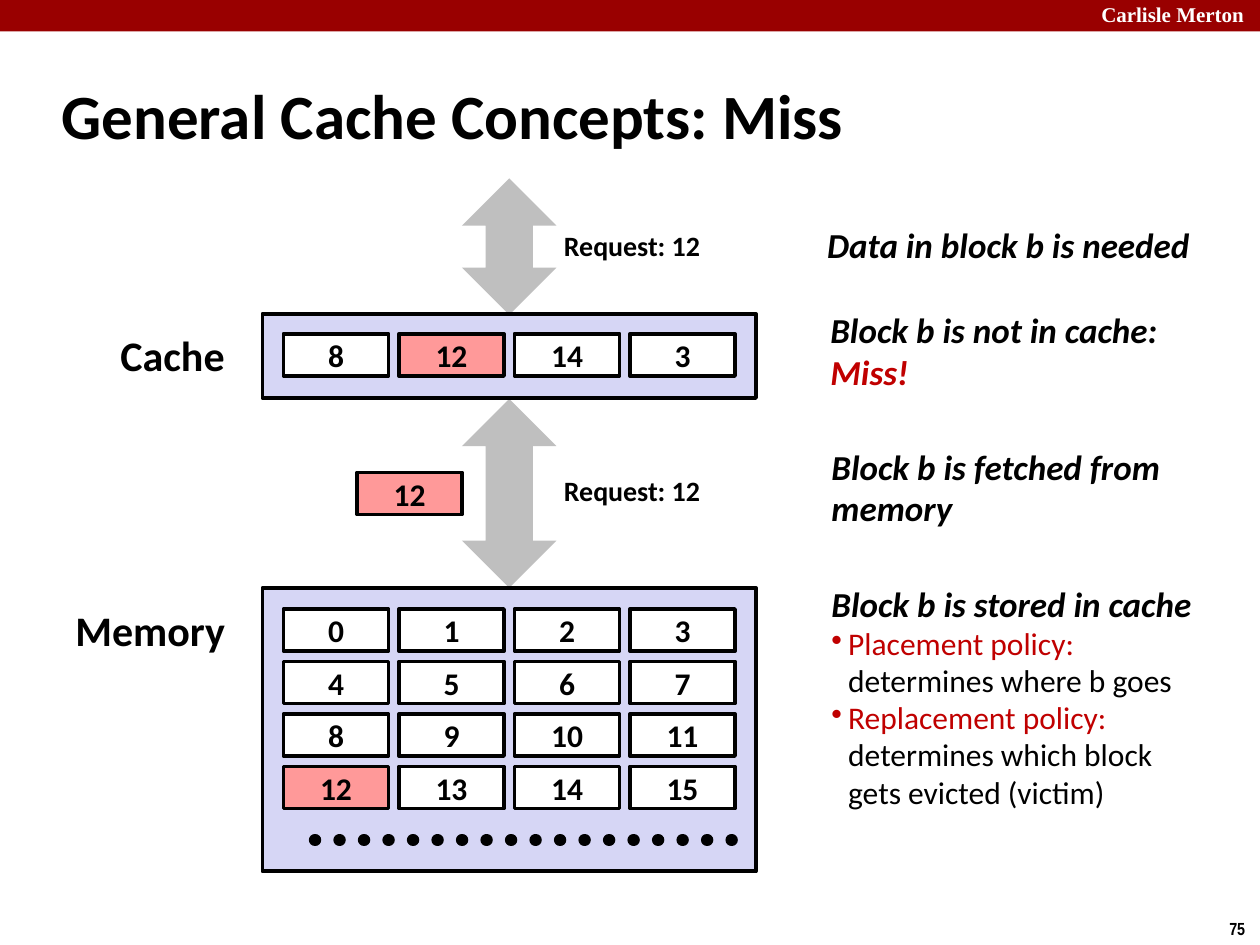
from dataclasses import dataclass

from lxml import etree
from pptx import Presentation
from pptx.dml.color import RGBColor
from pptx.enum.dml import MSO_LINE
from pptx.enum.shapes import MSO_CONNECTOR, MSO_SHAPE
from pptx.enum.text import MSO_ANCHOR, MSO_AUTO_SIZE, PP_ALIGN
from pptx.oxml.ns import qn
from pptx.util import Emu, Pt

PX = 7620  # 120 px to the inch
BLACK = RGBColor(0x00, 0x00, 0x00)
WHITE = RGBColor(0xFF, 0xFF, 0xFF)
MAROON = RGBColor(0x99, 0x00, 0x00)
RED = RGBColor(0xC0, 0x00, 0x00)
GRAY = RGBColor(0xBF, 0xBF, 0xBF)
LILAC = RGBColor(0xD6, 0xD6, 0xF5)
PINK = RGBColor(0xFF, 0x99, 0x99)

RECT, ARROW = MSO_SHAPE.RECTANGLE, MSO_SHAPE.UP_DOWN_ARROW
LEFT, CENTER = PP_ALIGN.LEFT, PP_ALIGN.CENTER
TOP, MIDDLE = MSO_ANCHOR.TOP, MSO_ANCHOR.MIDDLE
GROW, DOTS = MSO_AUTO_SIZE.SHAPE_TO_FIT_TEXT, MSO_LINE.ROUND_DOT
STRAIGHT = MSO_CONNECTOR.STRAIGHT

GRID_X, STEP_X, STEP_Y = 270, 110, 50
CELL_W, CELL_H = 100, 40
BULLET_IN = 16


@dataclass
class Box:
    x: int
    y: int
    w: int
    h: int

    def emu(self) -> list[Emu]:
        return [Emu(n * PX) for n in (self.x, self.y, self.w, self.h)]


@dataclass
class Style:
    size: int
    font: str = "Calibri"
    color: RGBColor = BLACK
    bold: bool = True
    italic: bool = False
    align: PP_ALIGN = LEFT
    space: float = 1.0
    bullet: bool = False


@dataclass
class Para:
    lines: list[tuple[str, RGBColor]]
    style: Style


@dataclass
class Label:
    box: Box
    text: str
    style: Style
    anchor: MSO_ANCHOR = TOP


LEAD = Style(20, italic=True, space=0.98)
MISS = Style(20, color=RED, italic=True, space=0.98)
POINT = Style(18, bold=False, space=0.98, bullet=True)
NAME = Style(24)
ASK = Style(16, align=CENTER)
BLOCK = Style(18, align=CENTER)


def set_style(para, style: Style) -> None:
    font = para.font
    font.name, font.size = style.font, Pt(style.size)
    font.bold, font.italic = style.bold, style.italic
    font.color.rgb = style.color
    para.alignment = style.align
    para.line_spacing = style.space


def add_bullet(para) -> None:
    props = para._p.get_or_add_pPr()
    props.set("marL", str(BULLET_IN * PX))
    props.set("indent", str(-BULLET_IN * PX))
    mark = etree.Element(qn("a:buChar"), char="•")
    props.find(qn("a:defRPr")).addprevious(mark)


def add_shape(slide, kind, box: Box, fill: RGBColor, edge: bool = False):
    shape = slide.shapes.add_shape(kind, *box.emu())
    shape.shadow.inherit = False
    shape.fill.solid()
    shape.fill.fore_color.rgb = fill
    if edge:
        shape.line.color.rgb = BLACK
        shape.line.width = Pt(2.25)
    else:
        shape.line.fill.background()
    return shape


def add_cell(slide, x: int, y: int, num: int, fill: RGBColor) -> None:
    shape = add_shape(slide, RECT, Box(x, y, CELL_W, CELL_H), fill, True)
    frame = shape.text_frame
    frame.vertical_anchor = MIDDLE
    para = frame.paragraphs[0]
    para.text = str(num)
    set_style(para, BLOCK)


def add_grid(slide, top: int, nums: list[int]) -> None:
    for i, num in enumerate(nums):
        row, col = divmod(i, 4)
        fill = PINK if num == 12 else WHITE
        add_cell(slide, GRID_X + col * STEP_X, top + row * STEP_Y, num, fill)


def add_text(slide, box: Box, paras: list[Para], anchor=TOP) -> None:
    frame = slide.shapes.add_textbox(*box.emu()).text_frame
    frame.word_wrap = False
    frame.auto_size = GROW
    frame.vertical_anchor = anchor
    for i, item in enumerate(paras):
        para = frame.add_paragraph() if i else frame.paragraphs[0]
        for j, (text, color) in enumerate(item.lines):
            if j:
                para.add_line_break()
            run = para.add_run()
            run.text = text
            if color != item.style.color:
                run.font.color.rgb = color
        set_style(para, item.style)
        if item.style.bullet:
            add_bullet(para)


def add_label(slide, label: Label) -> None:
    para = Para([(label.text, label.style.color)], label.style)
    add_text(slide, label.box, [para], label.anchor)


def add_dots(slide, x: int, y: int, end: int) -> None:
    ends = [Emu(n * PX) for n in (x, y, end, y)]
    line = slide.shapes.add_connector(STRAIGHT, *ends)
    line.line.color.rgb = BLACK
    line.line.width = Pt(7)
    line.line.dash_style = DOTS
    props = line._element.spPr
    props.find(qn("a:ln")).set("cap", "rnd")
    etree.SubElement(props, qn("a:effectLst"))


LABELS = [
    Label(Box(1037, -4, 172, 36), "Carlisle Merton",
          Style(12, "Times New Roman", WHITE)),
    Label(Box(1159, 868, 41, 32), "75", Style(10, "Arial Narrow")),
    Label(Box(47, 59, 996, 100), "General Cache Concepts: Miss",
          Style(36), MIDDLE),
    Label(Box(103, 308, 125, 60), "Cache", NAME),
    Label(Box(60, 570, 168, 60), "Memory", NAME),
    Label(Box(524, 212, 156, 44), "Request: 12", ASK),
    Label(Box(524, 445, 156, 44), "Request: 12", ASK),
    Label(Box(776, 208, 371, 52), "Data in block b is needed", LEAD, MIDDLE),
]

NOTES = [
    (Box(779, 290, 337, 91), [
        Para([("Block b is not in cache:", BLACK)], LEAD),
        Para([("Miss!", RED)], MISS)]),
    (Box(780, 420, 340, 91), [
        Para([("Block b is fetched from", BLACK)], LEAD),
        Para([("memory", BLACK)], LEAD)]),
    (Box(780, 550, 368, 230), [
        Para([("Block b is stored in cache", BLACK)], LEAD),
        Para([("Placement policy:", RED),
              ("determines where b goes", BLACK)], POINT),
        Para([("Replacement policy:", RED),
              ("determines which block", BLACK),
              ("gets evicted (victim)", BLACK)], POINT)]),
]


def main() -> None:
    deck = Presentation()
    deck.slide_width, deck.slide_height = Emu(1200 * PX), Emu(900 * PX)
    slide = deck.slides.add_slide(deck.slide_layouts[6])

    # Header bar and transfer arrows
    add_shape(slide, RECT, Box(0, 0, 1200, 30), MAROON)
    add_shape(slide, ARROW, Box(440, 170, 90, 130), GRAY)
    add_shape(slide, ARROW, Box(440, 380, 90, 180), GRAY)

    # Memory, cache and the block on its way
    add_shape(slide, RECT, Box(250, 560, 470, 270), LILAC, True)
    add_shape(slide, RECT, Box(250, 299, 470, 80), LILAC, True)
    add_grid(slide, 580, list(range(16)))
    add_dots(slide, 300, 800, 700)
    add_grid(slide, 318, [8, 12, 14, 3])
    add_cell(slide, 340, 450, 12, PINK)

    # Labels and notes
    for label in LABELS:
        add_label(slide, label)
    for box, paras in NOTES:
        add_text(slide, box, paras, MIDDLE)

    deck.save("out.pptx")


if __name__ == "__main__":
    main()
